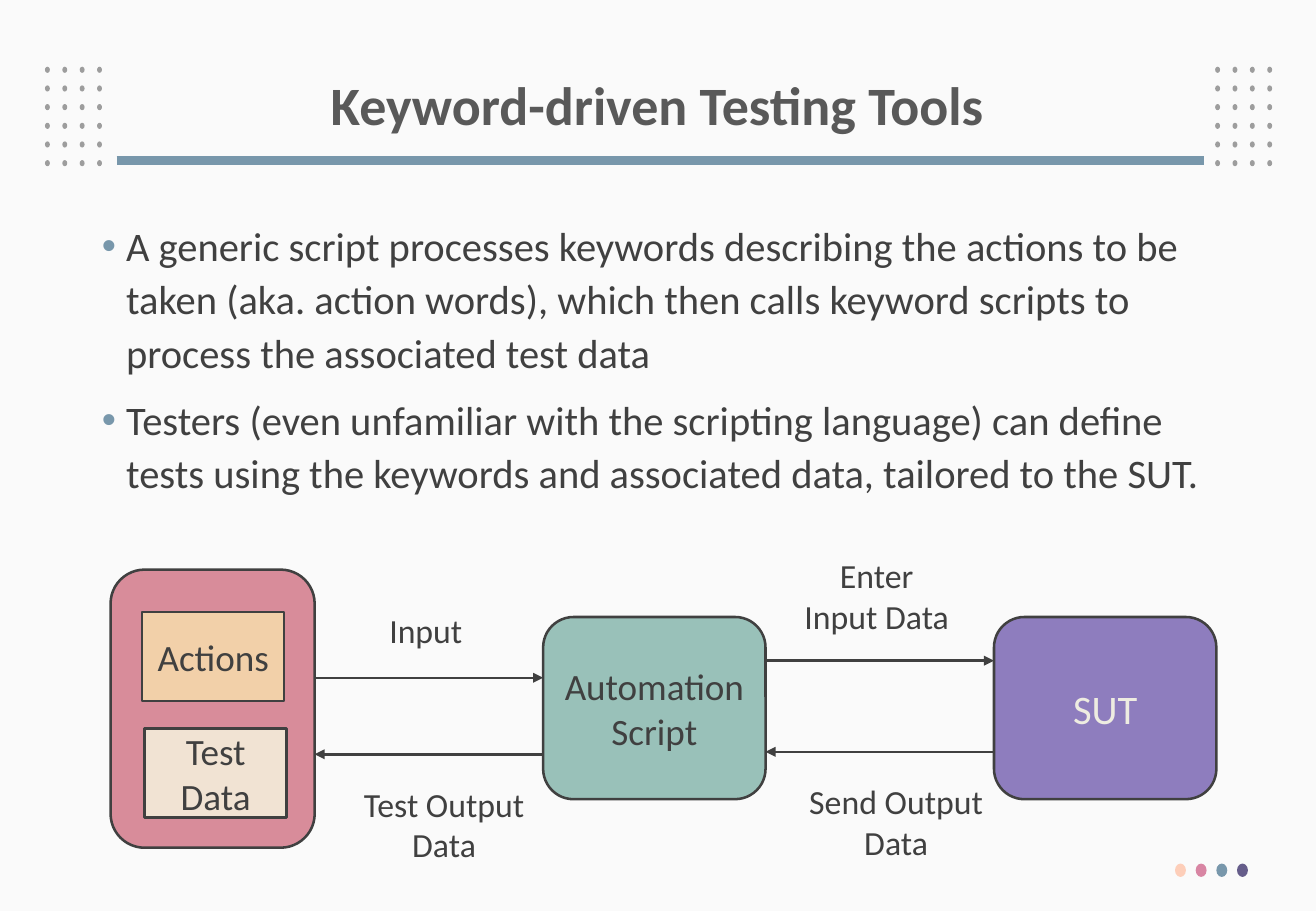
"""Builds the slide on keyword-driven testing tools."""
from lxml.etree import SubElement
from pptx import Presentation
from pptx.dml.color import RGBColor
from pptx.enum.shapes import MSO_CONNECTOR as Connector, MSO_SHAPE as Shape
from pptx.enum.text import MSO_ANCHOR as Anchor, PP_ALIGN as Align
from pptx.oxml.ns import qn
from pptx.util import Inches, Pt

COLOURS = {
    "page": "FAFAFA", "ink": "404040", "title": "595959", "dot": "9D9D9D",
    "blue": "7897AB", "peach": "FDCEB9", "pink": "D885A3", "indigo": "655D8A",
    "rose": "D88C9A", "mint": "99C1B9", "violet": "8E7DBE", "pale": "EEECE1",
    "sand": "F2D0A9", "cream": "F1E3D3",
}
FONT = "Calibri"
TITLE = "Keyword-driven Testing Tools"
BULLETS = [
    "A generic script processes keywords describing the actions to be taken "
    "(aka. action words), which then calls keyword scripts to process the "
    "associated test data",
    "Testers (even unfamiliar with the scripting language) can define tests "
    "using the keywords and associated data, tailored to the SUT.",
]

# All lengths below are percentages of the slide's width and height.
TITLE_AREA = (6.83, 5.33, 86.24, 13.07)
BODY_AREA = (6.83, 23.07, 86.24, 34.8)
RULE = (8.86, 91.5, 17.6)
CORNERS = (3.42, 92.34)
CORNER_TOP, CORNER_STEP, CORNER_DOT = 7.33, (1.32, 2.05), (0.37, 0.67)
MARKS = ("peach", "pink", "blue", "indigo")
MARK_START, MARK_STEP, MARK_DOT = (89.29, 94.8), 1.57, (0.83, 1.47)

STORE = (8.4, 62.53, 15.51, 30.53)
SCRIPT = (41.27, 67.73, 16.9, 20)
SUT = (75.53, 67.73, 16.9, 20)
BLOCKS = [
    ("", Shape.ROUNDED_RECTANGLE, STORE, "rose", 22, "ink"),
    ("Automation Script", Shape.ROUNDED_RECTANGLE, SCRIPT, "mint", 22, "ink"),
    ("SUT", Shape.ROUNDED_RECTANGLE, SUT, "violet", 24, "pale"),
    ("Actions", Shape.RECTANGLE, (10.8, 67.2, 10.8, 9.73), "sand", 22, "ink"),
    ("Test Data", Shape.RECTANGLE, (10.99, 80, 10.8, 9.73), "cream", 22, "ink"),
]
FLOWS = [
    ("Input", STORE, SCRIPT, 74.4, (25.76, 66.27, 13.2, 5.87)),
    ("Enter Input Data", SCRIPT, SUT, 72.53, (60.02, 60.27, 13.2, 10.27)),
    ("Send Output Data", SUT, SCRIPT, 82.53, (60.39, 85.07, 15.42, 10.27)),
    ("Test Output Data", SCRIPT, STORE, 82.8, (26.04, 85.33, 15.42, 10.27)),
]

deck = Presentation()
deck.slide_width, deck.slide_height = Inches(10.83), Inches(7.5)
page = deck.slides.add_slide(deck.slide_layouts[5])


def colour(name):
    return RGBColor.from_string(COLOURS[name])


def across(share):
    return int(deck.slide_width * share / 100)


def down(share):
    return int(deck.slide_height * share / 100)


def place(area):
    left, top, width, height = area
    return across(left), down(top), across(width), down(height)


def style(para, size, ink, align=Align.CENTER, bold=False):
    para.alignment = align
    for span in para.runs:
        span.font.name, span.font.size, span.font.bold = FONT, Pt(size), bold
        span.font.color.rgb = colour(ink)


def add_block(kind, area, fill, outline=True):
    block = page.shapes.add_shape(kind, *place(area))
    block.shadow.inherit = False
    block.fill.solid()
    block.fill.fore_color.rgb = colour(fill)
    if outline:
        block.line.color.rgb = colour("ink")
        block.line.width = Pt(1.5)
    else:
        block.line.fill.background()
    return block


def add_line(start, end, level, ink, width, arrow=False):
    line = page.shapes.add_connector(
        Connector.STRAIGHT, across(start), down(level), across(end), down(level))
    line.line.color.rgb = colour(ink)
    line.line.width = Pt(width)
    if arrow:
        SubElement(line.line._get_or_add_ln(), qn("a:tailEnd"), type="triangle")
    SubElement(line._element.spPr, qn("a:effectLst"))


def add_text(area):
    frame = page.shapes.add_textbox(*place(area)).text_frame
    frame.word_wrap = True
    return frame


def add_bullet(para):
    settings = para._p.get_or_add_pPr()
    settings.set("marL", str(Inches(0.2)))
    settings.set("indent", str(-Inches(0.2)))
    tint = SubElement(settings, qn("a:buClr"))
    SubElement(tint, qn("a:srgbClr"), val=COLOURS["blue"])
    SubElement(settings, qn("a:buFont"), typeface="Arial")
    SubElement(settings, qn("a:buChar"), char="•")


def add_decoration():
    for corner in CORNERS:
        for row in range(6):
            for column in range(4):
                left = corner + column * CORNER_STEP[0]
                top = CORNER_TOP + row * CORNER_STEP[1]
                add_block(Shape.OVAL, (left, top, *CORNER_DOT), "dot", False)
    start, end, level = RULE
    add_line(start, end, level, "blue", 5.25)
    left, top = MARK_START
    for index, fill in enumerate(MARKS):
        area = (left + index * MARK_STEP, top, *MARK_DOT)
        add_block(Shape.OVAL, area, fill, False)


def add_words():
    title = page.shapes.title
    title.left, title.top, title.width, title.height = place(TITLE_AREA)
    title.text_frame.text = TITLE
    title.text_frame.vertical_anchor = Anchor.MIDDLE
    heading = title.text_frame.paragraphs[0]
    heading.line_spacing = 0.9
    style(heading, 32, "title", bold=True)

    frame = add_text(BODY_AREA)
    frame.text = "\n".join(BULLETS)
    for index, para in enumerate(frame.paragraphs):
        add_bullet(para)
        para.line_spacing = 1.1
        if index:
            para.space_before = Pt(8.1)
        style(para, 24, "ink", Align.LEFT)


def add_diagram():
    for words, kind, area, fill, size, ink in BLOCKS:
        frame = add_block(kind, area, fill).text_frame
        if words:
            frame.text = words
            frame.word_wrap = True
            frame.vertical_anchor = Anchor.MIDDLE
            style(frame.paragraphs[0], size, ink)
    for words, source, target, level, area in FLOWS:
        forward = source[0] < target[0]
        start = source[0] + source[2] if forward else source[0]
        end = target[0] if forward else target[0] + target[2]
        add_line(start, end, level, "ink", 1.5, True)
        frame = add_text(area)
        frame.text = words
        style(frame.paragraphs[0], 20, "ink")


def main():
    page.background.fill.solid()
    page.background.fill.fore_color.rgb = colour("page")
    add_decoration()
    add_words()
    add_diagram()
    deck.save("out.pptx")


if __name__ == "__main__":
    main()
